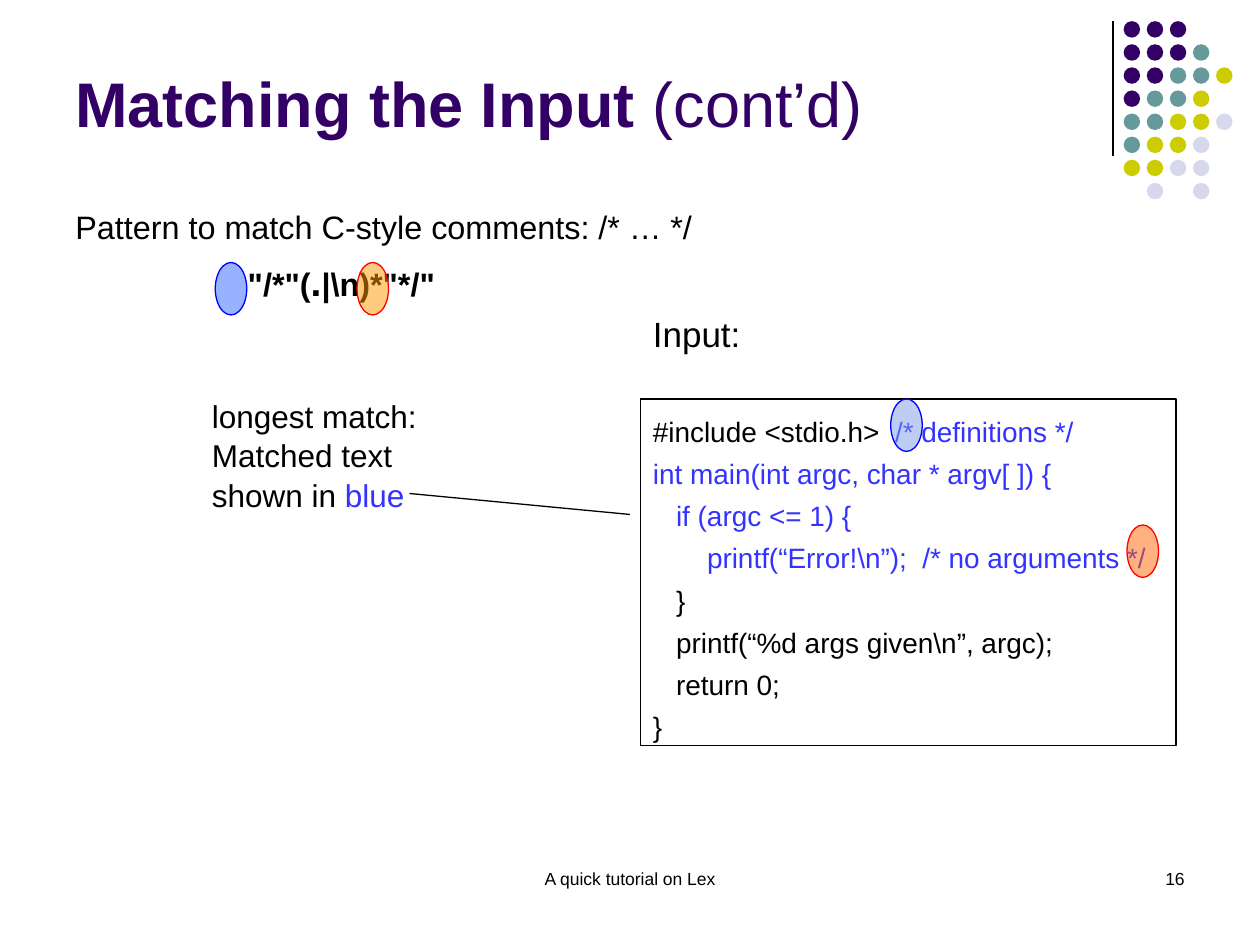
"""Build the slide on matching C-style comments with a Lex pattern."""
from lxml import etree
from pptx import Presentation
from pptx.dml.color import RGBColor
from pptx.enum.shapes import MSO_CONNECTOR, MSO_SHAPE
from pptx.enum.text import MSO_ANCHOR, PP_ALIGN
from pptx.oxml.ns import qn
from pptx.util import Pt

STRAIGHT = MSO_CONNECTOR.STRAIGHT
OVAL, RECTANGLE = MSO_SHAPE.OVAL, MSO_SHAPE.RECTANGLE
TOP, BOTTOM = MSO_ANCHOR.TOP, MSO_ANCHOR.BOTTOM
LEFT, CENTER, RIGHT = PP_ALIGN.LEFT, PP_ALIGN.CENTER, PP_ALIGN.RIGHT

COLORS = {
    "purple": "330066", "teal": "669999", "lime": "CCCC00", "lavender": "D8D8EC",
    "black": "000000", "match": "3333FF", "blue": "0000FF", "red": "FF0000",
    "sky": "3366FF", "orange": "FF9900", "pale": "7E9CE8", "coral": "FF6600",
}
RGB = {name: RGBColor.from_string(value) for name, value in COLORS.items()}

prs = Presentation()
prs.slide_width, prs.slide_height = Pt(720), Pt(540)
slide = prs.slides.add_slide(prs.slide_layouts[6])
shapes = slide.shapes


def add_text(paragraphs, box, size=18, color="black", align=LEFT, anchor=TOP,
             before=(), indents=()):
    """Add a text box; each paragraph lists (text, color, bold, size) runs."""
    frame = shapes.add_textbox(*map(Pt, box)).text_frame
    frame.word_wrap = True
    frame.vertical_anchor = anchor
    for i, runs in enumerate(paragraphs):
        paragraph = frame.paragraphs[0] if i == 0 else frame.add_paragraph()
        paragraph.alignment = align
        paragraph.line_spacing = 1.05
        if before:
            paragraph.space_before = Pt(before[i])
        if indents:
            paragraph._p.get_or_add_pPr().set("marL", str(Pt(indents[i])))
        for text, *style in runs:
            run_color, bold, run_size = style + [color, False, size][len(style):]
            run = paragraph.add_run()
            run.text = text
            run.font.name = "Arial"
            run.font.size = Pt(run_size)
            run.font.bold = bold
            run.font.color.rgb = RGB[run_color]


def add_outline(kind, box, line=None, fill=None, alpha=None):
    """Add a preset shape with optional line, fill and opacity in percent."""
    shape = shapes.add_shape(kind, *map(Pt, box))
    shape.shadow.inherit = False
    if fill:
        shape.fill.solid()
        shape.fill.fore_color.rgb = RGB[fill]
    else:
        shape.fill.background()
    if alpha:
        tint = shape._element.spPr.find(qn("a:solidFill"))[0]
        etree.SubElement(tint, qn("a:alpha")).set("val", str(alpha * 1000))
    if line:
        shape.line.color.rgb = RGB[line]
        shape.line.width = Pt(0.75)
    else:
        shape.line.fill.background()


dot_colors = {"P": "purple", "T": "teal", "L": "lime", "V": "lavender"}
dot_rows = ["PPP", "PPPT", "PPTTL", "PTTL", "TTLLV", "TLLV", "LLVV", " V V"]
for row, dots in enumerate(dot_rows):
    for column, dot in enumerate(dots):
        if dot in dot_colors:
            add_outline(OVAL, (642.1 + 13.2 * column, 12.1 + 13.2 * row, 9.4, 9.4),
                        fill=dot_colors[dot])

add_text([[("Matching the Input ", "purple", True), ("(cont’d)",)]],
         (36, 9.5, 594, 74), size=36, color="purple", anchor=BOTTOM)

add_text([[("Pattern to match C-style comments: /* … */",)],
          [('"/*"(', "black", True), (".", "black", True, 22.2),
           ('|\\n)*"*/"', "black", True)]],
         (36, 114, 396, 66), size=18.5, before=(0, 5), indents=(0, 98.5))

code = [
    [("#include <stdio.h>  ",), ("/* definitions */", "match")],
    [("int main(int argc, char * argv[ ]) {", "match")],
    [("   if (argc <= 1) {", "match")],
    [("       printf(“Error!\\n”);  /* no arguments */", "match")],
    [("   }",)],
    [("   printf(“%d args given\\n”, argc);",)],
    [("   return 0;",)],
    [("}",)],
]
add_text([[("Input:", "black", False, 20)]] + code, (366, 174, 318, 309),
         size=16, before=[0, 33] + [4] * 7)
add_outline(RECTANGLE, (366, 228, 306, 198), line="black")

comment_marks = [
    (123, 150, "blue", "sky"),
    (204, 150, "red", "orange"),
    (509, 228, "blue", "pale"),
    (644, 300, "red", "coral"),
]
for left, top, line, fill in comment_marks:
    add_outline(OVAL, (left, top, 18, 30), line=line, fill=fill, alpha=50)

add_text([[("longest match:",)], [("Matched text shown in ",), ("blue", "match")]],
         (114, 222, 138, 72))

for ends in [(636, 12, 636, 89), (234, 282, 360, 294)]:
    rule = shapes.add_connector(STRAIGHT, *map(Pt, ends))
    rule.line.color.rgb = RGB["black"]
    rule.line.width = Pt(0.75)
    etree.SubElement(rule._element.spPr, qn("a:effectLst"))

add_text([[("A quick tutorial on Lex",)]], (246, 492, 228, 36), size=10, align=CENTER)
add_text([[("16",)]], (516, 492, 168, 36), size=10, align=RIGHT)

prs.save("out.pptx")
